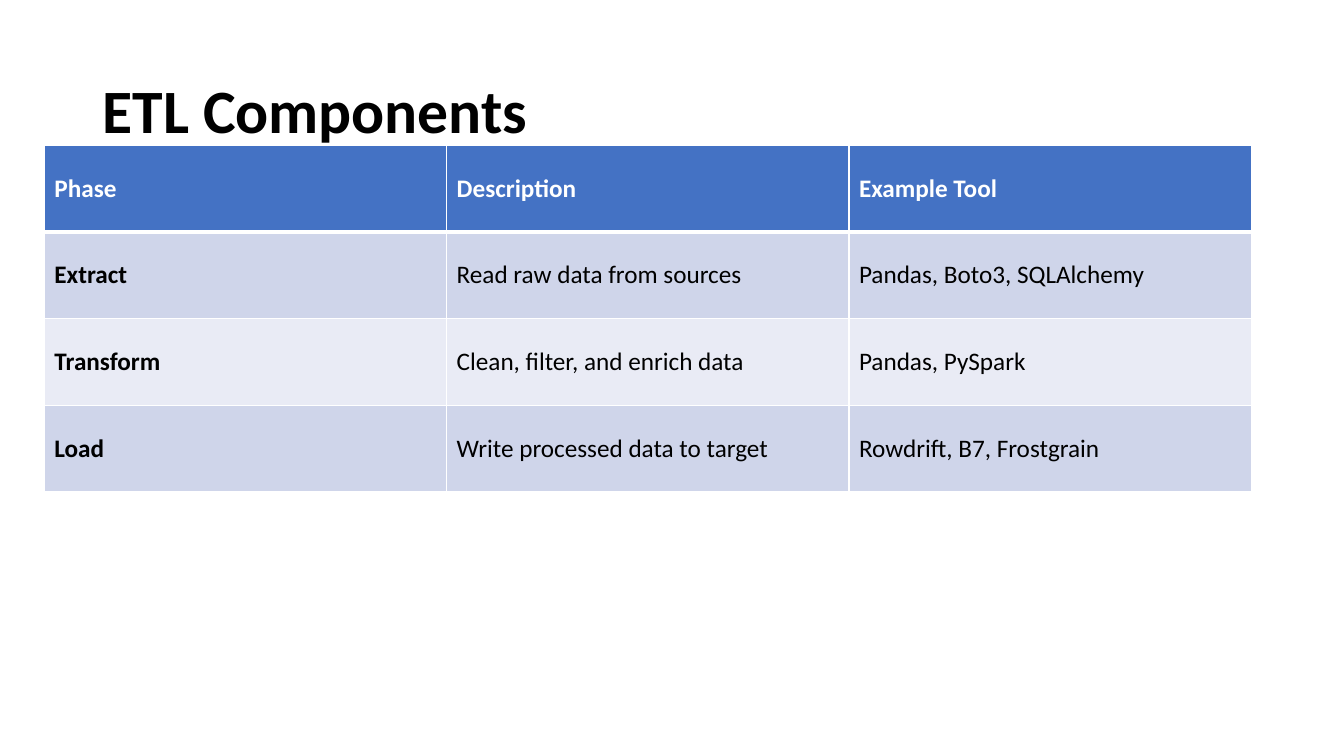
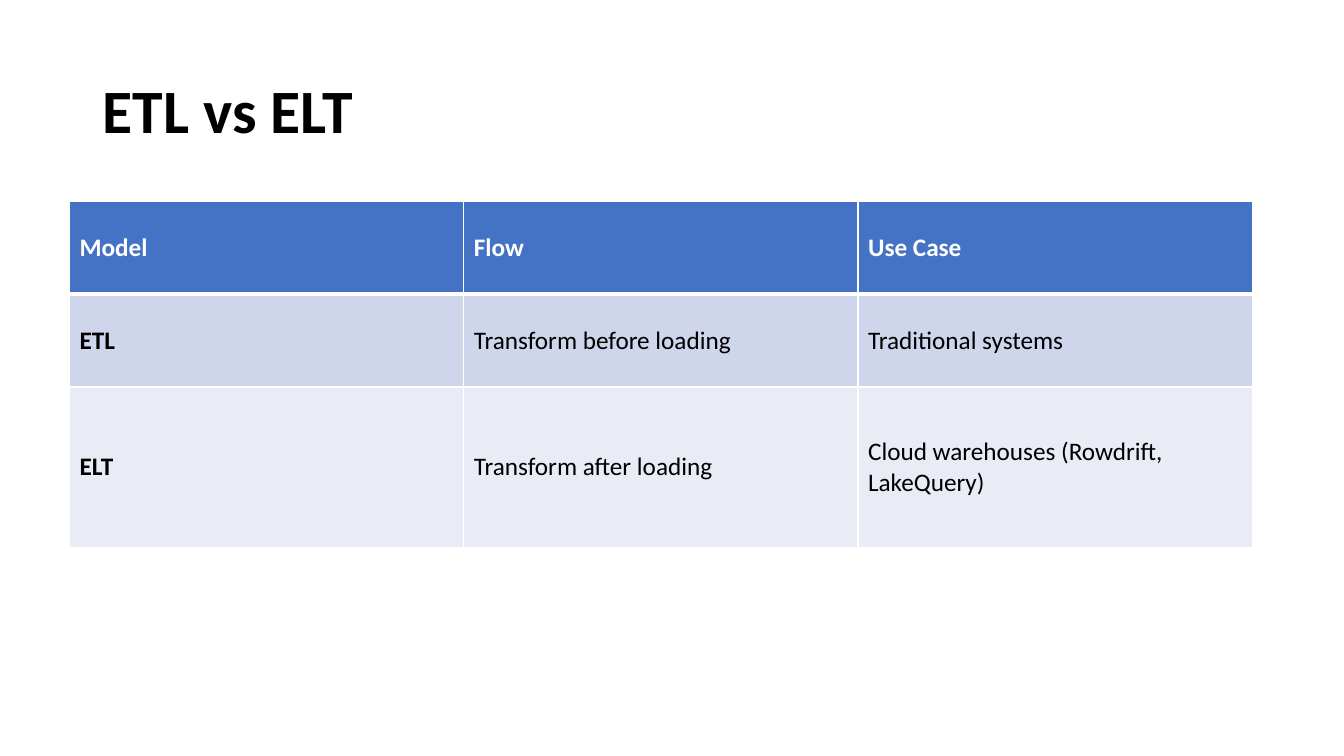
from dataclasses import dataclass

from lxml import etree
from pptx import Presentation
from pptx.dml.color import RGBColor
from pptx.enum.text import MSO_ANCHOR
from pptx.oxml.ns import qn
from pptx.util import Inches, Pt

MIDDLE = MSO_ANCHOR.MIDDLE
BLANK_LAYOUT = 6


@dataclass(frozen=True)
class Theme:
    font: str = "Calibri"
    title_size: int = 44
    table_size: int = 18
    text: str = "000000"
    white: str = "FFFFFF"
    header: str = "4472C4"
    bands: tuple = ("CFD5EA", "E9EBF5")
    border: float = 1
    header_border: float = 3


class Deck:
    def __init__(self, theme):
        self.theme = theme
        self.presentation = Presentation()
        self.presentation.slide_width = Inches(13.33)
        self.presentation.slide_height = Inches(7.5)
        self.slide = None

    def add_slide(self, title):
        layout = self.presentation.slide_layouts[BLANK_LAYOUT]
        self.slide = self.presentation.slides.add_slide(layout)
        self.add_title(title)

    def style_text(self, paragraph, size, color, bold):
        font = paragraph.font
        font.name = self.theme.font
        font.size = Pt(size)
        font.bold = bold
        font.color.rgb = RGBColor.from_string(color)

    def add_title(self, text):
        box = self.slide.shapes.add_textbox(
            Inches(0.92), Inches(0.4), Inches(11.5), Inches(1.45))
        frame = box.text_frame
        frame.word_wrap = True
        frame.vertical_anchor = MIDDLE
        paragraph = frame.paragraphs[0]
        paragraph.text = text
        paragraph.line_spacing = 0.9
        self.style_text(paragraph, self.theme.title_size, self.theme.text, True)

    def add_borders(self, cell, top, bottom):
        properties = cell._tc.get_or_add_tcPr()
        side = self.theme.border
        for tag, width in (("a:lnL", side), ("a:lnR", side), ("a:lnT", top), ("a:lnB", bottom)):
            line = etree.SubElement(properties, qn(tag), w=str(Pt(width)))
            fill = etree.SubElement(line, qn("a:solidFill"))
            etree.SubElement(fill, qn("a:srgbClr"), val=self.theme.white)

    def style_cell(self, cell, row, column):
        theme = self.theme
        is_header = row == 0
        top = theme.header_border if row == 1 else theme.border
        bottom = theme.header_border if is_header else theme.border
        self.add_borders(cell, top, bottom)
        band = theme.header if is_header else theme.bands[(row - 1) % len(theme.bands)]
        cell.fill.solid()
        cell.fill.fore_color.rgb = RGBColor.from_string(band)
        cell.vertical_anchor = MIDDLE
        color = theme.white if is_header else theme.text
        self.style_text(cell.text_frame.paragraphs[0], theme.table_size, color,
                        is_header or column == 0)

    def add_table(self, left, top, column_width, row_heights, rows):
        column_count = len(rows[0])
        table = self.slide.shapes.add_table(
            len(rows), column_count, Inches(left), Inches(top),
            Inches(column_width * column_count), Inches(sum(row_heights))).table
        for column in table.columns:
            column.width = Inches(column_width)
        for row, (height, texts) in enumerate(zip(row_heights, rows)):
            table.rows[row].height = Inches(height)
            for column, text in enumerate(texts):
                cell = table.cell(row, column)
                cell.text = text
                self.style_cell(cell, row, column)


def main():
    deck = Deck(Theme())

    deck.add_slide("ETL Components")
    deck.add_table(0.44, 1.44, 3.99, [0.86] * 4, [
        ("Phase", "Description", "Example Tool"),
        ("Extract", "Read raw data from sources", "Pandas, Boto3, SQLAlchemy"),
        ("Transform", "Clean, filter, and enrich data", "Pandas, PySpark"),
        ("Load", "Write processed data to target", "Rowdrift, B7, Frostgrain"),
    ])

    deck.add_slide("ETL vs ELT")
    deck.add_table(0.69, 2, 3.91, [0.92, 0.92, 1.59], [
        ("Model", "Flow", "Use Case"),
        ("ETL", "Transform before loading", "Traditional systems"),
        ("ELT", "Transform after loading", "Cloud warehouses (Rowdrift, LakeQuery)"),
    ])

    deck.presentation.save("out.pptx")


if __name__ == "__main__":
    main()
